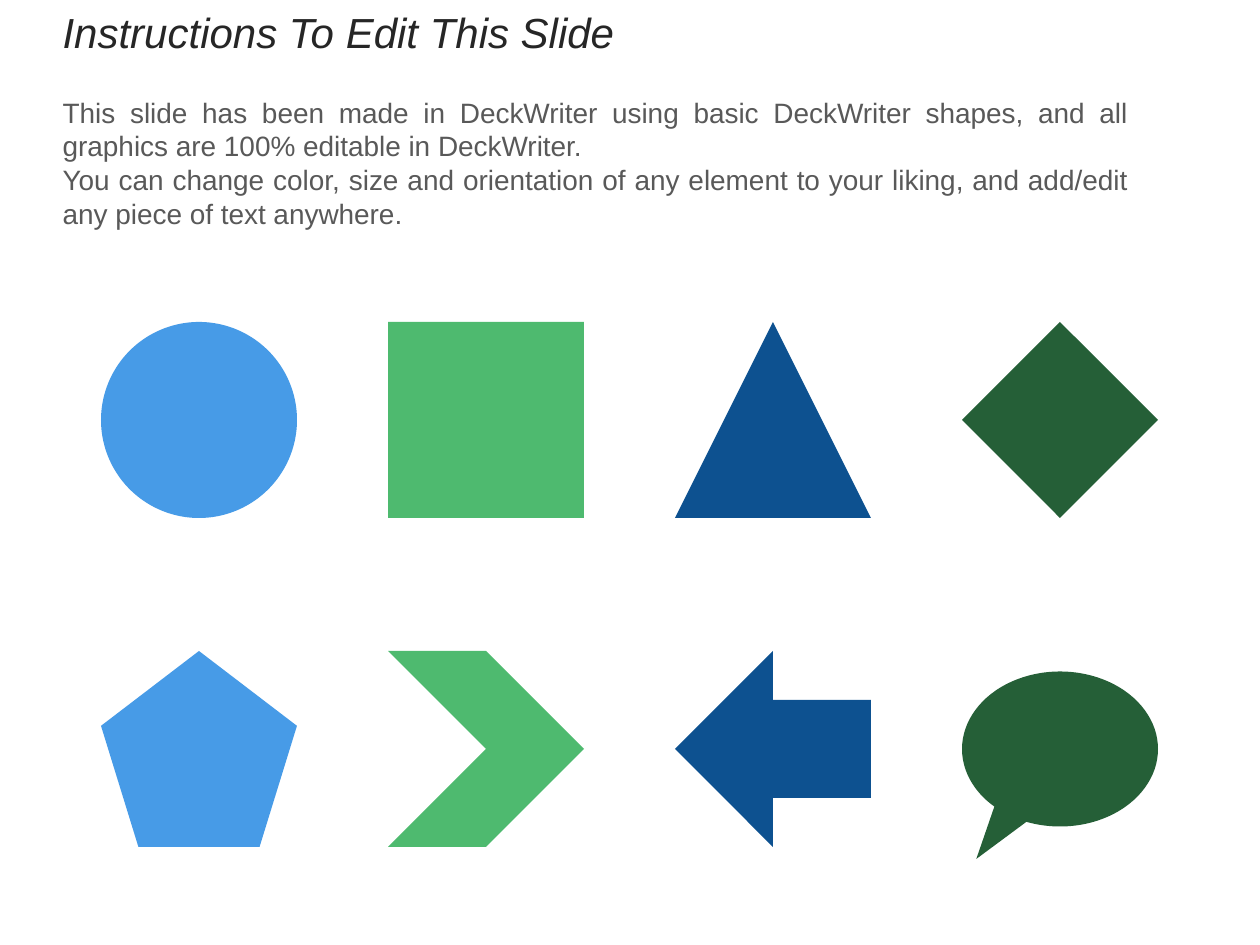
"""Build a slide of editing instructions above a grid of basic shapes."""
from dataclasses import dataclass

from pptx import Presentation
from pptx.dml.color import RGBColor
from pptx.enum.shapes import MSO_SHAPE as Preset
from pptx.enum.text import MSO_ANCHOR as Anchor
from pptx.enum.text import MSO_AUTO_SIZE as AutoSize
from pptx.enum.text import PP_ALIGN as Align
from pptx.oxml.xmlchemy import OxmlElement
from pptx.util import Pt

EMU_PER_PX = 914400 / 126
COLORS = {
    "title": "262626",
    "body": "595959",
    "sky": "479BE7",
    "green": "4EBA6F",
    "navy": "0D5190",
    "forest": "255F37",
}
COLUMN_COLORS = ("sky", "green", "navy", "forest")
GRID_LEFT, GRID_TOP = 101, 322
COLUMN_STEP, ROW_STEP = 287, 329
CELL = 196


@dataclass(frozen=True)
class Sample:
    preset: Preset
    height: int = CELL
    adjustments: tuple[float, ...] = ()


SAMPLES = (
    Sample(Preset.OVAL),
    Sample(Preset.RECTANGLE),
    Sample(Preset.ISOSCELES_TRIANGLE),
    Sample(Preset.DIAMOND),
    Sample(Preset.REGULAR_PENTAGON),
    Sample(Preset.CHEVRON),
    Sample(Preset.LEFT_ARROW),
    Sample(Preset.OVAL_CALLOUT, height=155, adjustments=(-0.427, 0.709)),
)
INSTRUCTIONS = (
    "This slide has been made in DeckWriter using basic DeckWriter shapes, "
    "and all graphics are 100% editable in DeckWriter.",
    "You can change color, size and orientation of any element to your liking, "
    "and add/edit any piece of text anywhere.",
)


def px(length: float) -> int:
    return round(length * EMU_PER_PX)


def rgb(name: str) -> RGBColor:
    return RGBColor.from_string(COLORS[name])


def place(shape, left: int, top: int, width: int, height: int) -> None:
    shape.left, shape.top = px(left), px(top)
    shape.width, shape.height = px(width), px(height)


def write_text(shape, *lines: str, size: int, color: str, align: Align, italic: bool = False) -> None:
    frame = shape.text_frame
    frame.text = "\n".join(lines)
    frame.word_wrap = True
    frame.auto_size = AutoSize.NONE
    frame.vertical_anchor = Anchor.TOP
    for paragraph in frame.paragraphs:
        paragraph.alignment = align
        paragraph.line_spacing = 1.0
        paragraph.space_before = paragraph.space_after = Pt(0)
        properties = paragraph._p.get_or_add_pPr()
        properties.set("marL", "0")
        properties.set("indent", "0")
        properties.append(OxmlElement("a:buNone"))
        for run in paragraph.runs:
            font = run.font
            font.name, font.size, font.italic = "Arial", Pt(size), italic
            font.color.rgb = rgb(color)


def draw_sample(shapes, sample: Sample, column: int, row: int) -> None:
    left = GRID_LEFT + column * COLUMN_STEP
    top = GRID_TOP + row * ROW_STEP + (CELL - sample.height) / 2
    shape = shapes.add_shape(sample.preset, px(left), px(top), px(CELL), px(sample.height))
    for index, value in enumerate(sample.adjustments):
        shape.adjustments[index] = value
    shape.shadow.inherit = False
    shape.fill.solid()
    shape.fill.fore_color.rgb = rgb(COLUMN_COLORS[column])
    shape.line.fill.background()


def main() -> None:
    presentation = Presentation()
    presentation.slide_width, presentation.slide_height = px(1260), px(945)
    slide = presentation.slides.add_slide(presentation.slide_layouts[1])

    title, body = slide.placeholders
    place(title, 50, 0, 1091, 64)
    write_text(title, "Instructions To Edit This Slide",
               size=24, color="title", align=Align.LEFT, italic=True)
    place(body, 50, 89, 1091, 148)
    write_text(body, *INSTRUCTIONS, size=16, color="body", align=Align.JUSTIFY)

    group = slide.shapes.add_group_shape()
    for index, sample in enumerate(SAMPLES):
        row, column = divmod(index, len(COLUMN_COLORS))
        draw_sample(group.shapes, sample, column, row)

    presentation.save("out.pptx")


if __name__ == "__main__":
    main()
